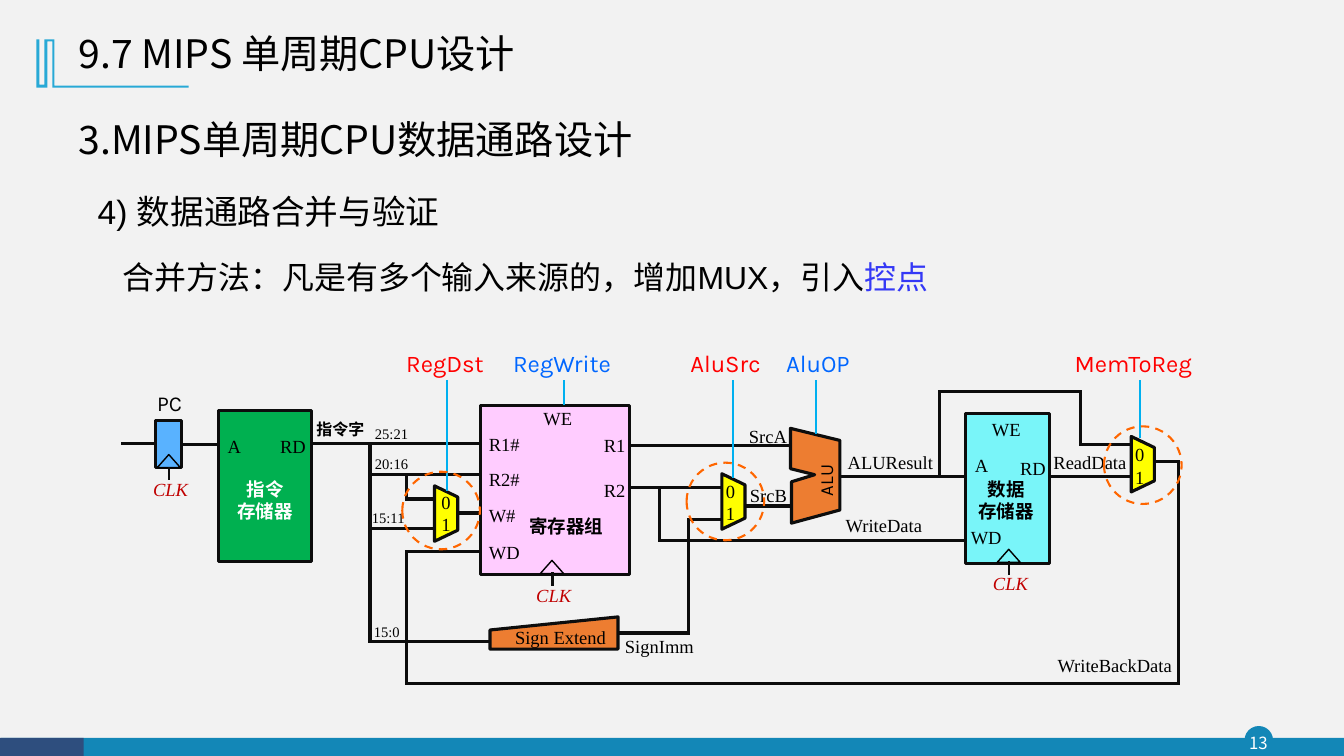
from dataclasses import dataclass
from itertools import pairwise
from typing import NamedTuple

from lxml.etree import SubElement
from pptx import Presentation
from pptx.dml.color import RGBColor
from pptx.enum.dml import MSO_LINE
from pptx.enum.shapes import MSO_CONNECTOR, MSO_SHAPE
from pptx.enum.text import MSO_ANCHOR, MSO_AUTO_SIZE, PP_ALIGN
from pptx.oxml.ns import qn
from pptx.util import Emu, Pt

SCALE = 9144  # EMU per px, 100 px to the inch


class Style(NamedTuple):
    font: str
    size: float
    color: str
    height: int
    bold: bool = False
    italic: bool = False


class Theme(NamedTuple):
    background: str = "F2F2F2"
    band: str = "1387B7"
    band_dark: str = "2E4E7E"
    bracket: str = "28A9D6"
    wire: str = "0D0D0D"
    edge: str = "000000"
    control: str = "00B0F0"
    focus: str = "FF6600"
    accent: str = "3438F6"
    pc: str = "59B2FF"
    instructions: str = "00B050"
    registers: str = "FFCCFF"
    data: str = "79F5F9"
    mux: str = "FFFF00"
    logic: str = "ED7D31"
    cjk: str = "Noto Sans CJK SC"
    wire_width: float = 2.25
    thin_width: float = 1.5
    edge_width: float = 1
    title: Style = Style("Noto Sans CJK SC", 28, "000000", 68)
    heading: Style = Style("Noto Sans CJK JP", 28, "000000", 57)
    step: Style = Style("Arial", 24, "000000", 50)
    method: Style = Style("Arial", 22.8, "000000", 48)
    number: Style = Style("Noto Sans CJK SC", 12, "FFFFFF", 31)
    port: Style = Style("Times New Roman", 13.2, "000000", 32)
    clock: Style = Style("Times New Roman", 13.2, "C00000", 32, italic=True)
    bits: Style = Style("Times New Roman", 10.4, "000000", 28)
    unit: Style = Style("Noto Sans CJK SC", 13.2, "000000", 32, bold=True)
    unit_light: Style = Style("Noto Sans CJK SC", 13.2, "FFFFFF", 32, bold=True)
    word: Style = Style("Noto Sans CJK SC", 11.4, "000000", 29, bold=True)
    counter: Style = Style("Karla", 15.2, "000000", 36)
    alu: Style = Style("Karla", 13.2, "000000", 32)
    mux_signal: Style = Style("Karla", 17.1, "FF0000", 39)
    unit_signal: Style = Style("Karla", 17.1, "0066FF", 39)


THEME = Theme()
LINE_PITCH = 23
Point = tuple[int, int]


@dataclass(frozen=True)
class Label:
    text: str
    left: int
    top: int
    width: int
    style: Style = THEME.port
    centred: bool = False
    accent: str = ""
    rotation: int = 0
    wrap: bool = False
    middle: bool = False
    inset: bool = True


class Block(NamedTuple):
    kind: MSO_SHAPE
    box: tuple[int, int, int, int]
    fill: str
    line: str | None = THEME.wire
    width: float = THEME.wire_width


class Outline(NamedTuple):
    points: list[Point]
    fill: str
    line: str | None = THEME.wire


class Mux(NamedTuple):
    left: int
    top: int
    digits: Point
    focus: Point


class Clock(NamedTuple):
    left: int
    bottom: int
    fill: str


class Signal(NamedTuple):
    label: Label
    x: int
    end: int


def px(length: int) -> Emu:
    return Emu(length * SCALE)


def paint(shape, fill: str | None, line: str | None, width: float) -> None:
    shape.shadow.inherit = False
    for part, color in ((shape.fill, fill), (shape.line.fill, line)):
        if color is None:
            part.background()
        else:
            part.solid()
            part.fore_color.rgb = RGBColor.from_string(color)
    if line:
        shape.line.width = Pt(width)


def add_block(shapes, block: Block):
    shape = shapes.add_shape(block.kind, *map(px, block.box))
    paint(shape, block.fill, block.line, block.width)
    return shape


def add_outline(shapes, outline: Outline) -> None:
    builder = shapes.build_freeform(*outline.points[0], scale=SCALE)
    builder.add_line_segments(outline.points[1:], close=True)
    paint(builder.convert_to_shape(), outline.fill, outline.line, THEME.wire_width)


def add_route(shapes, points: list[Point], color: str = THEME.wire,
              width: float = THEME.wire_width) -> None:
    """Join successive points with straight, square-ended lines."""
    for start, end in pairwise(points):
        wire = shapes.add_connector(MSO_CONNECTOR.STRAIGHT, *map(px, (*start, *end)))
        wire.line.color.rgb = RGBColor.from_string(color)
        wire.line.width = Pt(width)
        wire.get_or_add_ln().set("cap", "sq")
        SubElement(wire.element.spPr, qn("a:effectLst"))


def add_run(paragraph, text: str, style: Style, color: str) -> None:
    run = paragraph.add_run()
    run.text = text
    formats = {"name": style.font, "size": Pt(style.size),
               "bold": style.bold, "italic": style.italic}
    for name, value in formats.items():
        setattr(run.font, name, value)
    run.font.color.rgb = RGBColor.from_string(color)
    east_asian = style.font if "CJK" in style.font else THEME.cjk
    SubElement(run.font._element, qn("a:ea"), typeface=east_asian)


def add_label(shapes, label: Label) -> None:
    lines = label.text.split("\n")
    height = label.style.height + LINE_PITCH * (len(lines) - 1)
    box = shapes.add_textbox(*map(px, (label.left, label.top, label.width, height)))
    box.rotation = label.rotation
    frame = box.text_frame
    formats = {"word_wrap": label.wrap,
               "auto_size": MSO_AUTO_SIZE.NONE if label.middle else MSO_AUTO_SIZE.SHAPE_TO_FIT_TEXT,
               "vertical_anchor": MSO_ANCHOR.MIDDLE if label.middle else MSO_ANCHOR.TOP}
    if not label.inset:
        formats |= {f"margin_{side}": 0 for side in ("left", "top", "right", "bottom")}
    for name, value in formats.items():
        setattr(frame, name, value)
    for index, line in enumerate(lines):
        paragraph = frame.add_paragraph() if index else frame.paragraphs[0]
        paragraph.alignment = PP_ALIGN.CENTER if label.centred else PP_ALIGN.LEFT
        if label.style is THEME.title:
            paragraph.line_spacing = 0.9
        add_run(paragraph, line, label.style, label.style.color)
    if label.accent:
        add_run(paragraph, label.accent, label.style, THEME.accent)


def add_mux(shapes, mux: Mux) -> None:
    body = add_block(shapes, Block(MSO_SHAPE.FLOWCHART_MANUAL_OPERATION,
                                   (mux.left, mux.top, 55, 23), THEME.mux))
    body.rotation = 270
    add_label(shapes, Label("0\n1", *mux.digits, 29))


def add_focus(shapes, mux: Mux) -> None:
    ring = shapes.add_shape(MSO_SHAPE.OVAL, *map(px, (*mux.focus, 77, 77)))
    paint(ring, None, THEME.focus, THEME.thin_width)
    ring.line.dash_style = MSO_LINE.DASH


def add_clock(shapes, clock: Clock) -> None:
    add_block(shapes, Block(MSO_SHAPE.ISOSCELES_TRIANGLE, (clock.left, clock.bottom - 13, 23, 13),
                            clock.fill, THEME.edge, THEME.edge_width))
    x = clock.left + 12
    add_route(shapes, [(x, clock.bottom), (x, clock.bottom + 11)], width=THEME.thin_width)
    add_label(shapes, Label("CLK", clock.left - 14, clock.bottom + 5, 55, THEME.clock))


FRAME = [
    Block(MSO_SHAPE.OVAL, (1235, 721, 27, 27), THEME.band, THEME.band, THEME.edge_width),
    Block(MSO_SHAPE.RECTANGLE, (1, 732, 1332, 18), THEME.band, None),
    Block(MSO_SHAPE.RECTANGLE, (0, 732, 83, 18), THEME.band_dark, None),
]
BRACKET = Outline([(54, 39), (54, 85), (187, 85), (187, 87), (52, 87), (52, 41), (47, 41), (47, 87),
                   (36, 87), (36, 39), (39, 39), (39, 84), (44, 84), (44, 39)], THEME.bracket, None)
HEADINGS = [
    Label("13", 1232, 721, 32, THEME.number, centred=True, wrap=True, middle=True, inset=False),
    Label("9.7 MIPS 单周期CPU设计", 68, 21, 537, THEME.title, wrap=True, middle=True),
    Label("3.MIPS单周期CPU数据通路设计", 68, 109, 665, THEME.heading, wrap=True),
    Label("4) 数据通路合并与验证", 87, 184, 425, THEME.step, wrap=True),
    Label("合并方法：凡是有多个输入来源的，增加MUX，引入", 112, 251, 830, THEME.method,
          accent="控点", wrap=True),
]
ROUTES = [
    [(122, 440), (154, 440)], [(181, 441), (217, 441)], [(310, 440), (477, 440)],
    [(367, 441), (367, 636), (483, 636)], [(368, 471), (478, 471)],
    [(403, 473), (403, 495), (430, 495)], [(367, 524), (429, 524)], [(457, 509), (477, 509)],
    [(623, 442), (784, 442)], [(615, 484), (716, 484)], [(654, 486), (654, 536), (957, 536)],
    [(615, 628), (683, 628), (683, 515), (714, 515)], [(738, 502), (786, 502)],
    [(833, 473), (959, 473)], [(932, 473), (932, 388), (1072, 388), (1072, 441), (1122, 441)],
    [(1041, 473), (1122, 473)],
    [(1145, 458), (1169, 458), (1169, 678), (403, 678), (403, 547), (475, 547)],
]
BLOCKS = [
    Block(MSO_SHAPE.RECTANGLE, (154, 417, 26, 47), THEME.pc),
    Block(MSO_SHAPE.RECTANGLE, (217, 407, 92, 150), THEME.instructions),
    Block(MSO_SHAPE.RECTANGLE, (477, 402, 147, 168), THEME.registers),
    Block(MSO_SHAPE.RECTANGLE, (958, 410, 83, 149), THEME.data),
]
OUTLINES = [
    Outline([(486, 625), (613, 612), (613, 644), (486, 644)], THEME.logic),
    Outline([(784, 425), (784, 465), (808, 471), (785, 478), (785, 519), (833, 506), (833, 437)],
            THEME.logic),
]
CLOCKS = [Clock(156, 464, THEME.pc), Clock(536, 569, THEME.registers), Clock(989, 558, THEME.data)]
MUXES = [Mux(415, 498, (428, 482), (399, 468)), Mux(700, 486, (710, 471), (681, 459)),
         Mux(1106, 449, (1116, 435), (1095, 423))]
SIGNALS = [
    Signal(Label("RegDst", 393, 341, 105, THEME.mux_signal), 443, 486),
    Signal(Label("RegWrite", 499, 341, 132, THEME.unit_signal), 559, 401),
    Signal(Label("AluSrc", 675, 341, 96, THEME.mux_signal), 727, 473),
    Signal(Label("AluOP", 770, 341, 94, THEME.unit_signal), 809, 430),
    Signal(Label("MemToReg", 1056, 341, 156, THEME.mux_signal), 1131, 434),
]
LABELS = [
    Label("PC", 146, 382, 48, THEME.counter),
    Label("A", 216, 427, 34), Label("RD", 268, 427, 46),
    Label("指令\n存储器", 225, 469, 76, THEME.unit_light, centred=True),
    Label("指令字", 304, 411, 68, THEME.word),
    Label("25:21", 362, 417, 54, THEME.bits), Label("20:16", 362, 446, 54, THEME.bits),
    Label("15:11", 359, 500, 54, THEME.bits), Label("15:0", 361, 613, 46, THEME.bits),
    Label("R1#", 475, 425, 51), Label("R2#", 475, 459, 51), Label("W#", 475, 495, 47),
    Label("WD", 475, 532, 51), Label("WE", 529, 399, 49),
    Label("R1", 589, 426, 42), Label("R2", 589, 470, 42),
    Label("寄存器组", 514, 506, 95, THEME.unit, centred=True),
    Label("Sign Extend", 501, 616, 112), Label("SignImm", 610, 625, 89),
    Label("SrcA", 733, 417, 58), Label("SrcB", 734, 475, 57),
    Label("ALU", 790, 457, 58, THEME.alu, rotation=270),
    Label("ALUResult", 831, 443, 106), Label("WriteData", 829, 505, 97),
    Label("WE", 974, 410, 49), Label("RD", 1002, 448, 46), Label("A", 957, 445, 34),
    Label("数据\n存储器", 960, 469, 76, THEME.unit, centred=True),
    Label("WD", 953, 517, 51), Label("ReadData", 1035, 443, 93),
    Label("WriteBackData", 1039, 644, 135),
]


def main() -> None:
    deck = Presentation()
    deck.slide_width, deck.slide_height = px(1333), px(750)
    slide = deck.slides.add_slide(deck.slide_layouts[6])
    slide.background.fill.solid()
    slide.background.fill.fore_color.rgb = RGBColor.from_string(THEME.background)
    shapes = slide.shapes
    for draw, parts in ((add_block, FRAME), (add_outline, [BRACKET]), (add_label, HEADINGS),
                        (add_route, ROUTES), (add_block, BLOCKS), (add_outline, OUTLINES),
                        (add_clock, CLOCKS), (add_mux, MUXES), (add_label, LABELS)):
        for part in parts:
            draw(shapes, part)
    for signal in SIGNALS:
        add_route(shapes, [(signal.x, 378), (signal.x, signal.end)], THEME.control, THEME.thin_width)
        add_label(shapes, signal.label)
    for mux in MUXES:
        add_focus(shapes, mux)
    deck.save("out.pptx")


if __name__ == "__main__":
    main()
